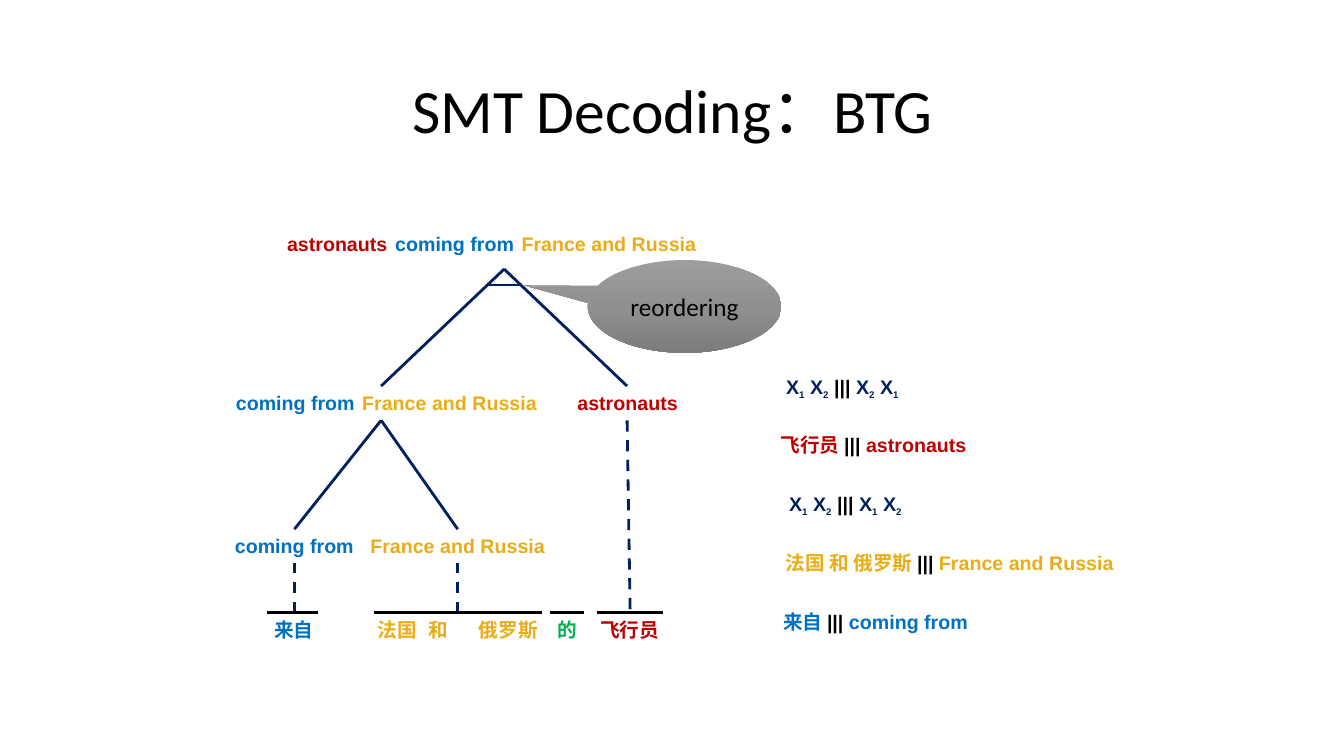
from copy import deepcopy

from lxml import etree
from pptx import Presentation
from pptx.dml.color import RGBColor
from pptx.enum import dml, shapes, text
from pptx.oxml import ns
from pptx.util import Inches, Pt

COLORS = {
    "black": "000000",
    "navy": "002060",
    "blue": "0070C0",
    "red": "C00000",
    "gold": "E8AD18",
    "green": "00B050",
}
CALLOUT_SHADES = ["9D9D9D", "909090", "7C7C7C"]

prs = Presentation()
prs.slide_width, prs.slide_height = Inches(13.33), Inches(7.5)
slide = prs.slides.add_slide(prs.slide_layouts[6])


def add_label(left, top, width, runs, font="Arial"):
    """Place a centred bold line of (text, colour) runs; digits become subscripts."""
    box = slide.shapes.add_textbox(Inches(left), Inches(top), Inches(width), Inches(0.34))
    box.text_frame.word_wrap = True
    paragraph = box.text_frame.paragraphs[0]
    paragraph.alignment = text.PP_ALIGN.CENTER
    for words, color in runs:
        run = paragraph.add_run()
        run.text = words
        is_subscript = words.isdigit()
        look = {"name": font, "size": Pt(12 if is_subscript else 14), "bold": True}
        for key, value in look.items():
            setattr(run.font, key, value)
        run.font.color.rgb = RGBColor.from_string(COLORS[color])
        if is_subscript:
            run.font._element.set("baseline", "-25000")
    return paragraph


def add_line(start, end, color="navy", width=2, dashed=False):
    ends = [Inches(value) for value in (*start, *end)]
    line = slide.shapes.add_connector(shapes.MSO_CONNECTOR.STRAIGHT, *ends)
    line.line.color.rgb = RGBColor.from_string(COLORS[color])
    line.line.width = Pt(width)
    if dashed:
        line.line.dash_style = dml.MSO_LINE.DASH
    etree.SubElement(line._element.spPr, ns.qn("a:effectLst"))


# Title
title = slide.shapes.add_textbox(Inches(0.92), Inches(0.4), Inches(11.5), Inches(1.45))
title.text_frame.word_wrap = True
title.text_frame.vertical_anchor = text.MSO_ANCHOR.MIDDLE
heading = title.text_frame.paragraphs[0]
heading.text = "SMT Decoding：BTG"
heading.alignment = text.PP_ALIGN.CENTER
heading.line_spacing = 0.9
for key, value in {"name": "Calibri", "size": Pt(44)}.items():
    setattr(heading.font, key, value)
heading.font.color.rgb = RGBColor.from_string(COLORS["black"])

# Tree branches and word alignments
root, phrase = (5, 2.67), (3.78, 4.17)
for start, end in [
    (phrase, (2.92, 5.25)),
    (phrase, (4.54, 5.25)),
    (root, (3.78, 3.83)),
    (root, (6.22, 3.83)),
]:
    add_line(start, end)
add_line((4.84, 2.83), (5.17, 2.83), width=1.5)
for start, end in [
    ((6.22, 4.17), (6.25, 6.08)),
    ((2.92, 6.08), (2.92, 5.59)),
    ((4.54, 6.08), (4.54, 5.59)),
]:
    add_line(start, end, dashed=True)
for left, right in [(2.65, 3.15), (3.71, 5.38), (5.46, 5.79), (5.92, 6.58)]:
    add_line((left, 6.08), (right, 6.08), "black")

# Target phrases at the tree nodes
PHRASES = {
    "coming from": ("blue", 1.5),
    "France and Russia": ("gold", 2),
    "astronauts": ("red", 1.25),
}
for top, lefts in [
    (2.25, [3.76, 5.04, 2.72]),
    (3.83, [2.18, 3.46, 5.6]),
    (5.25, [2.17, 3.54]),
]:
    for left, (words, (color, width)) in zip(lefts, PHRASES.items()):
        add_label(left, top, width, [(words, color)])

# Source words
for left, width, word, color, font in [
    (2.58, 0.67, "来自", "blue", "Arial"),
    (5.62, 1.25, "飞行员", "red", "Calibri"),
    (5.38, 0.5, "的", "green", "Calibri"),
]:
    add_label(left, 6.08, width, [(word, color)], font)

places = add_label(3.58, 6.08, 1.92, [("法国\t和\t俄罗斯", "gold")])
places.alignment = text.PP_ALIGN.LEFT
place_format = places._p.get_or_add_pPr()
place_format.set("marL", str(Inches(0.07)))
place_format.set("indent", "0")
tab_stops = etree.SubElement(place_format, ns.qn("a:tabLst"))
for position in (0.68, 1.05):
    etree.SubElement(tab_stops, ns.qn("a:tab"), pos=str(Inches(position)), algn="l")

# Reordering callout
callout = slide.shapes.add_shape(
    shapes.MSO_SHAPE.OVAL_CALLOUT, Inches(5.83), Inches(2.58), Inches(1.92), Inches(0.92)
)
callout.shadow.inherit = False
callout.adjustments[0], callout.adjustments[1] = -0.83, -0.226
callout.line.fill.background()
callout.fill.gradient()
callout.fill.gradient_angle = 270
stop_list = callout._element.spPr.find(".//" + ns.qn("a:gsLst"))
stop_list.insert(1, deepcopy(stop_list[0]))
for stop, position, shade in zip(callout.fill.gradient_stops, (0, 0.5, 1), CALLOUT_SHADES):
    stop.position = position
    stop.color.rgb = RGBColor.from_string(shade)
callout.text_frame.vertical_anchor = text.MSO_ANCHOR.MIDDLE
action = callout.text_frame.paragraphs[0]
action.text = "reordering"
action.alignment = text.PP_ALIGN.CENTER
for key, value in {"name": "Calibri", "size": Pt(18)}.items():
    setattr(action.font, key, value)
action.font.color.rgb = RGBColor.from_string(COLORS["black"])

# Reordering rules
for left, top, rule in [(7.62, 3.67, "X1 X2 | X2 X1"), (7.65, 4.83, "X1 X2 | X1 X2")]:
    runs = [("|||", "black") if mark == "|" else (mark, "navy") for mark in rule]
    add_label(left, top, 1.47, runs)

# Translation rules
for left, top, width, source, target in [
    (7.58, 4.25, 2.17, "飞行员", "astronauts"),
    (7.67, 5.42, 3.5, "法国 和 俄罗斯", "France and Russia"),
    (7.6, 6, 2.17, "来自", "coming from"),
]:
    color = PHRASES[target][0]
    runs = [(source + " ", color), ("|||", "black"), (" " + target, color)]
    add_label(left, top, width, runs)

prs.save("out.pptx")
